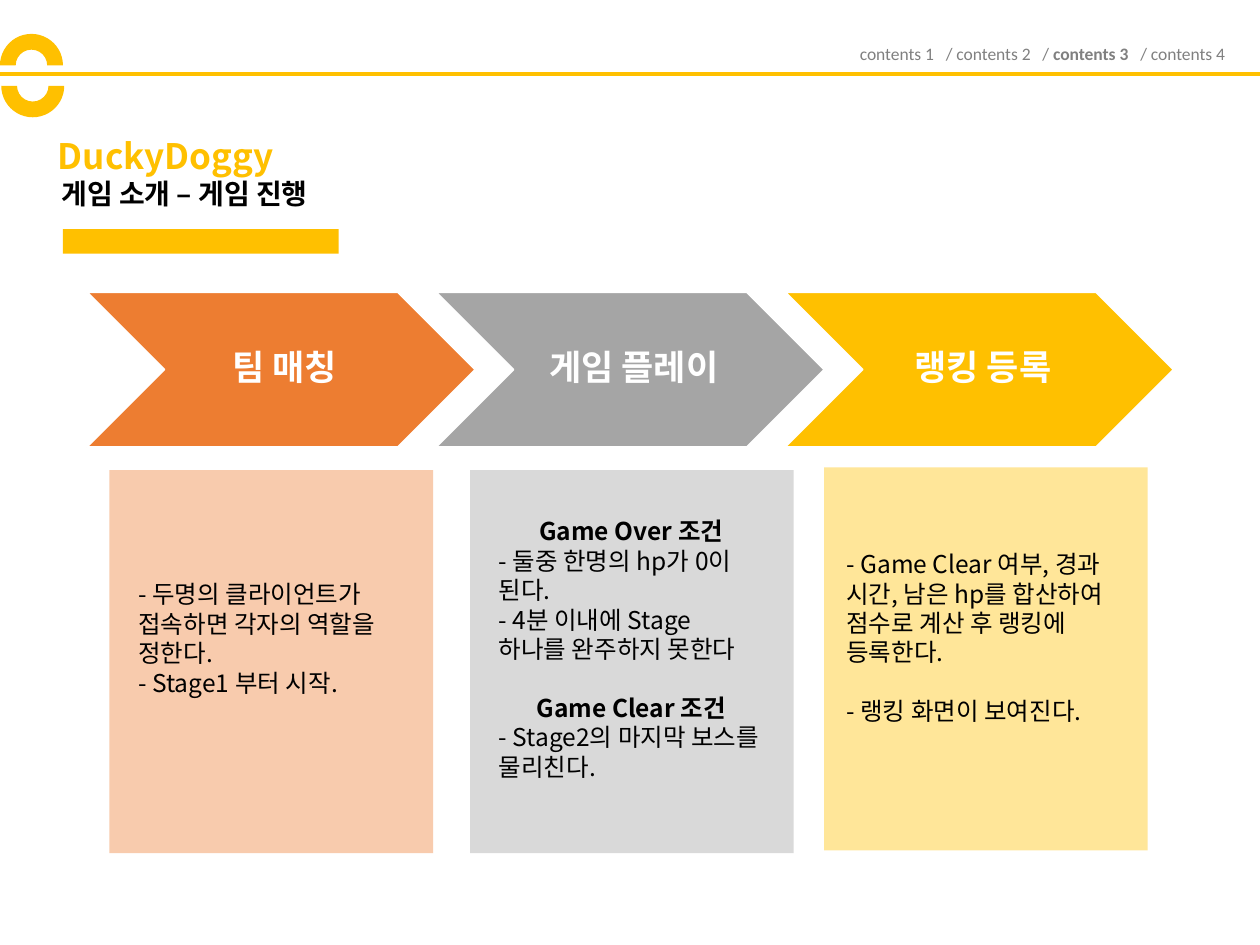
from lxml import etree
from pptx import Presentation
from pptx.dml.color import RGBColor
from pptx.enum.shapes import MSO_CONNECTOR, MSO_SHAPE
from pptx.enum.text import MSO_ANCHOR, PP_ALIGN
from pptx.oxml.ns import qn
from pptx.util import Pt

LEFT, CENTER, RIGHT = PP_ALIGN.LEFT, PP_ALIGN.CENTER, PP_ALIGN.RIGHT
TOP, MIDDLE = MSO_ANCHOR.TOP, MSO_ANCHOR.MIDDLE
KOREAN, LATIN = "Noto Sans CJK KR", "Calibri"

COLORS = {
    "yellow": "FFC000", "orange": "ED7D31", "gray": "A5A5A5",
    "light yellow": "FFE699", "light orange": "F8CBAD", "light gray": "D9D9D9",
    "menu": "808080", "black": "000000", "white": "FFFFFF",
}

MENU = ["contents 1", "/ contents 2", "/ contents 3", "/ contents 4"]
CURRENT_MENU_ITEM = "contents 3"
TITLE = "DuckyDoggy"
SUBTITLE = "게임 소개 – 게임 진행"

# Panel and body are (left, top); a body line starting with "-" is an item, others are headings.
STEPS = [
    {"label": "팀 매칭", "color": "orange", "panel": (62.6, 268.6), "body": (72, 327.6),
     "lines": ["- 두명의 클라이언트가 접속하면 각자의 역할을 정한다.",
               "- Stage1 부터 시작."], "gap_before": None},
    {"label": "게임 플레이", "color": "gray", "panel": (268.6, 268.6), "body": (277.9, 291.6),
     "lines": ["Game Over 조건",
               "- 둘중 한명의 hp가 0이 된다.",
               "- 4분 이내에 Stage 하나를 완주하지 못한다",
               "Game Clear 조건",
               "- Stage2의 마지막 보스를 물리친다."], "gap_before": 3},
    {"label": "랭킹 등록", "color": "yellow", "panel": (470.9, 267.1), "body": (476.6, 310.3),
     "lines": ["- Game Clear 여부, 경과 시간, 남은 hp를 합산하여 점수로 계산 후 랭킹에 등록한다.",
               "- 랭킹 화면이 보여진다."], "gap_before": 1},
]
CHEVRON_LEFT, CHEVRON_TOP, CHEVRON_STEP = 49.7, 167, 199.5
CHEVRON_SIZE = (221.8, 88.5)
PANEL_SIZE = (185, 218.9)
BODY_WIDTH, BODY_GAP = 165.6, 16.8


def color(name):
    return RGBColor.from_string(COLORS[name])


def style_run(run, size, color_name, bold=False, font=KOREAN):
    run.font.size = Pt(size)
    run.font.bold = bold
    run.font.name = font
    run.font.color.rgb = color(color_name)
    etree.SubElement(run.font._element, qn("a:ea")).set("typeface", font)


def add_filled(slide, kind, left, top, width, height, fill):
    shape = slide.shapes.add_shape(kind, Pt(left), Pt(top), Pt(width), Pt(height))
    shape.shadow.inherit = False
    shape.fill.solid()
    shape.fill.fore_color.rgb = color(fill)
    shape.line.fill.background()
    return shape


def add_text_frame(slide, left, top, width, height, anchor=TOP):
    box = slide.shapes.add_textbox(Pt(left), Pt(top), Pt(width), Pt(height))
    box.text_frame.word_wrap = True
    box.text_frame.vertical_anchor = anchor
    return box.text_frame


def add_menu(slide):
    paragraph = add_text_frame(slide, 441.4, 20.9, 265.7, 19.4).paragraphs[0]
    paragraph.alignment = RIGHT
    for index, item in enumerate(MENU):
        if index:
            gap = paragraph.add_run()
            gap.text = " "
            style_run(gap, 10, "menu", font=LATIN)
            gap.font._element.set("spc", "450")
        current = item.endswith(CURRENT_MENU_ITEM)
        parts = [item.removesuffix(CURRENT_MENU_ITEM), CURRENT_MENU_ITEM] if current else [item]
        for text in parts:
            run = paragraph.add_run()
            run.text = text
            style_run(run, 10, "menu", text == CURRENT_MENU_ITEM, LATIN)


def add_header(slide):
    line = slide.shapes.add_connector(MSO_CONNECTOR.STRAIGHT, Pt(0), Pt(42.5), Pt(720), Pt(42.5))
    line.line.color.rgb = color("yellow")
    line.line.width = Pt(2.25)
    etree.SubElement(line._element.spPr, qn("a:effectLst"))
    add_menu(slide)
    add_filled(slide, MSO_SHAPE.BLOCK_ARC, 0, 19.4, 36, 36, "yellow")
    lower_arc = add_filled(slide, MSO_SHAPE.BLOCK_ARC, 0.7, 31, 36, 36, "yellow")
    lower_arc.rotation = 180


def add_heading(slide):
    add_filled(slide, MSO_SHAPE.RECTANGLE, 36, 131, 157.5, 14, "yellow")
    title = add_text_frame(slide, 25.9, 79.9, 277.2, 20.9, MIDDLE).paragraphs[0]
    title.text = TITLE
    title.line_spacing = 0.9
    style_run(title.runs[0], 20, "yellow", True)
    subtitle = add_text_frame(slide, 28.1, 97.2, 205.2, 26.6).paragraphs[0]
    subtitle.text = SUBTITLE
    style_run(subtitle.runs[0], 16, "black", True)


def add_chevron(slide, index, step):
    chevron = add_filled(slide, MSO_SHAPE.CHEVRON, CHEVRON_LEFT + index * CHEVRON_STEP,
                         CHEVRON_TOP, *CHEVRON_SIZE, step["color"])
    chevron.line.color.rgb = color("white")
    chevron.line.width = Pt(1)
    frame = chevron.text_frame
    frame.margin_left = Pt(6.5)
    frame.margin_right = frame.margin_top = frame.margin_bottom = Pt(2.2)
    frame.vertical_anchor = MIDDLE
    label = frame.paragraphs[0]
    label.text = step["label"]
    label.alignment = CENTER
    label.line_spacing = 0.9
    style_run(label.runs[0], 20, "white", True)


def add_panel(slide, step):
    add_filled(slide, MSO_SHAPE.RECTANGLE, *step["panel"], *PANEL_SIZE, "light " + step["color"])
    height = 2 * (step["panel"][1] + PANEL_SIZE[1] / 2 - step["body"][1])
    frame = add_text_frame(slide, *step["body"], BODY_WIDTH, height)
    frame.text = "\n".join(step["lines"])
    for index, paragraph in enumerate(frame.paragraphs):
        is_heading = not paragraph.text.startswith("-")
        paragraph.alignment = CENTER if is_heading else LEFT
        if index == step["gap_before"]:
            paragraph.space_before = Pt(BODY_GAP)
        style_run(paragraph.runs[0], 14, "black", is_heading)


def main():
    presentation = Presentation()
    presentation.slide_width, presentation.slide_height = Pt(720), Pt(540)
    slide = presentation.slides.add_slide(presentation.slide_layouts[6])
    add_header(slide)
    add_heading(slide)
    for index, step in enumerate(STEPS):
        add_chevron(slide, index, step)
        add_panel(slide, step)
    presentation.save("out.pptx")


if __name__ == "__main__":
    main()
